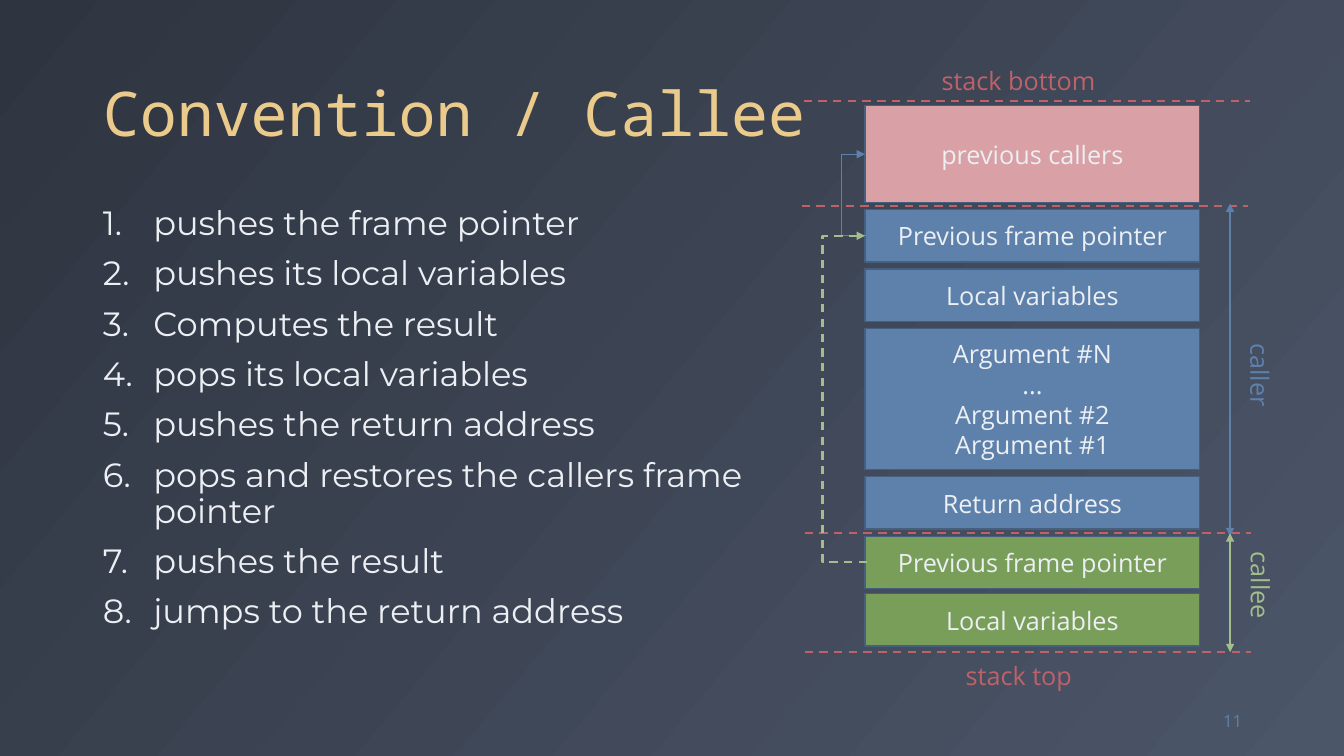
from lxml.etree import SubElement
from pptx import Presentation
from pptx.dml.color import RGBColor
from pptx.enum.dml import MSO_LINE
from pptx.enum.shapes import MSO_CONNECTOR, MSO_SHAPE
from pptx.enum.text import MSO_ANCHOR, MSO_AUTO_SIZE, PP_ALIGN
from pptx.oxml.ns import qn
from pptx.util import Inches, Pt

COLORS = {
    "dark": "2E3440", "slate": "4C5669", "gold": "EBCB8B", "text": "ECEFF3",
    "blue": "5E81AC", "outline": "465F7F", "green": "799E59",
    "light green": "A3BE8C", "pink": "D9A0A5", "red": "BF6169",
}


def color(name):
    return RGBColor.from_string(COLORS[name])


class StackSlide:
    heading_font, list_font, label_font = "Noto Sans Mono", "Montserrat", "Open Sans"

    def __init__(self, presentation):
        self.slide = presentation.slides.add_slide(presentation.slide_layouts[1])
        self.shapes = self.slide.shapes

    def background(self, start, end):
        fill = self.slide.background.fill
        fill.gradient()
        fill.gradient_angle = 320
        for stop, name in zip(fill.gradient_stops, (start, end)):
            stop.color.rgb = color(name)

    def place(self, shape, left, top, width, height):
        shape.left, shape.top = Inches(left), Inches(top)
        shape.width, shape.height = Inches(width), Inches(height)

    def style(self, paragraph, font, size, name, align=PP_ALIGN.LEFT):
        paragraph.alignment = align
        paragraph.font.name, paragraph.font.size = font, Pt(size)
        paragraph.font.color.rgb = color(name)

    def title(self, text, *box):
        title = self.shapes.title
        self.place(title, *box)
        frame = title.text_frame
        frame.text = text
        frame.auto_size = MSO_AUTO_SIZE.NONE
        frame.vertical_anchor = MSO_ANCHOR.BOTTOM
        frame.paragraphs[0].line_spacing = 0.9
        self.style(frame.paragraphs[0], self.heading_font, 44, "gold")

    def numbered_list(self, items, *box):
        body = self.slide.placeholders[1]
        self.place(body, *box)
        frame = body.text_frame
        frame.text = "\n".join(items)
        frame.auto_size = MSO_AUTO_SIZE.NONE
        for paragraph in frame.paragraphs:
            paragraph.line_spacing, paragraph.space_before = 0.9, Pt(10)
            properties = paragraph._p.get_or_add_pPr()
            properties.set("marL", str(Inches(0.5)))
            properties.set("indent", str(-Inches(0.5)))
            SubElement(properties, qn("a:buFont"), typeface="+mj-lt")
            SubElement(properties, qn("a:buAutoNum"), type="arabicPeriod")
            self.style(paragraph, self.list_font, 24, "text")

    def block(self, text, top, height, fill):
        block = self.shapes.add_shape(
            MSO_SHAPE.RECTANGLE, Inches(8.58), Inches(top), Inches(3.32), Inches(height))
        block.shadow.inherit = False
        block.fill.solid()
        block.fill.fore_color.rgb = color(fill)
        block.line.color.rgb, block.line.width = color("outline"), Pt(1)
        block.text_frame.text = text
        block.text_frame.vertical_anchor = MSO_ANCHOR.MIDDLE
        for paragraph in block.text_frame.paragraphs:
            self.style(paragraph, self.label_font, 18, "text", PP_ALIGN.CENTER)

    def label(self, text, name, *box, rotation=0):
        label = self.shapes.add_textbox(*map(Inches, box))
        label.rotation = rotation
        label.text_frame.text = text
        label.text_frame.word_wrap = False
        label.text_frame.auto_size = MSO_AUTO_SIZE.SHAPE_TO_FIT_TEXT
        self.style(label.text_frame.paragraphs[0], self.label_font, 18, name)

    def page_number(self, text, *box):
        number = self.shapes.add_textbox(*map(Inches, box))
        frame = number.text_frame
        frame.text, frame.word_wrap = text, True
        frame.vertical_anchor = MSO_ANCHOR.MIDDLE
        self.style(frame.paragraphs[0], self.label_font, 12, "blue", PP_ALIGN.RIGHT)

    def line(self, start, end, name, width=1.5, dashed=False, arrows=(), bend=None):
        kind = MSO_CONNECTOR.STRAIGHT if bend is None else MSO_CONNECTOR.ELBOW
        line = self.shapes.add_connector(kind, *map(Inches, start + end))
        line.line.color.rgb, line.line.width = color(name), Pt(width)
        if dashed:
            line.line.dash_style = MSO_LINE.DASH
        properties = line._element.spPr
        for arrow in arrows:
            SubElement(properties.find(qn("a:ln")), qn(f"a:{arrow}"), type="triangle")
        SubElement(properties, qn("a:effectLst"))
        if bend is not None:
            ratio = (bend - start[0]) / (end[0] - start[0])
            guides = properties.find(qn("a:prstGeom")).get_or_add_avLst()
            SubElement(guides, qn("a:gd"), name="adj1", fmla=f"val {round(ratio * 100000)}")


def main():
    presentation = Presentation()
    presentation.slide_width, presentation.slide_height = Inches(13.33), Inches(7.5)
    stack = StackSlide(presentation)
    stack.background("dark", "slate")

    # Callee steps
    stack.title("Convention / Callee", 0.92, 0.18, 11.5, 1.36)
    stack.numbered_list([
        "pushes the frame pointer",
        "pushes its local variables",
        "Computes the result",
        "pops its local variables",
        "pushes the return address",
        "pops and restores the callers frame pointer",
        "pushes the result",
        "jumps to the return address",
    ], 0.92, 2, 6.82, 4.76)
    stack.page_number("11", 11.59, 6.95, 0.83, 0.4)

    # Stack blocks
    arguments = "Argument #N\n...\nArgument #2\nArgument #1"
    for text, top, height, fill in [
        ("previous callers", 1.05, 0.96, "pink"),
        ("Previous frame pointer", 2.08, 0.52, "blue"),
        ("Local variables", 2.67, 0.52, "blue"),
        (arguments, 3.26, 1.4, "blue"),
        ("Return address", 4.73, 0.52, "blue"),
        ("Previous frame pointer", 5.32, 0.52, "green"),
        ("Local variables", 5.89, 0.52, "green"),
    ]:
        stack.block(text, top, height, fill)

    # Frame borders
    for left, y in [(7.97, 1), (7.95, 2.04), (7.98, 5.29), (7.98, 6.47)]:
        stack.line((left, y), (left + 4.43, y), "red", dashed=True)
    stack.label("stack bottom", "red", 9.24, 0.6, 1.86, 0.4)
    stack.label("stack top", "red", 9.48, 6.5, 1.36, 0.4)

    # Frame extents
    both_ends = ("headEnd", "tailEnd")
    stack.line((12.2, 2.02), (12.2, 5.32), "blue", arrows=both_ends)
    stack.label("caller", "blue", 12.06, 3.55, 0.88, 0.4, rotation=90)
    stack.line((12.2, 5.29), (12.2, 6.47), "light green", arrows=both_ends)
    stack.label("callee", "light green", 12.04, 5.64, 0.93, 0.4, rotation=90)

    # Saved frame pointers
    stack.line((8.6, 2.34), (8.58, 1.53), "blue", width=0.5,
               arrows=("tailEnd",), bend=8.35)
    stack.line((8.6, 5.58), (8.58, 2.34), "light green", dashed=True,
               arrows=("tailEnd",), bend=8.16)

    presentation.save("out.pptx")


if __name__ == "__main__":
    main()
